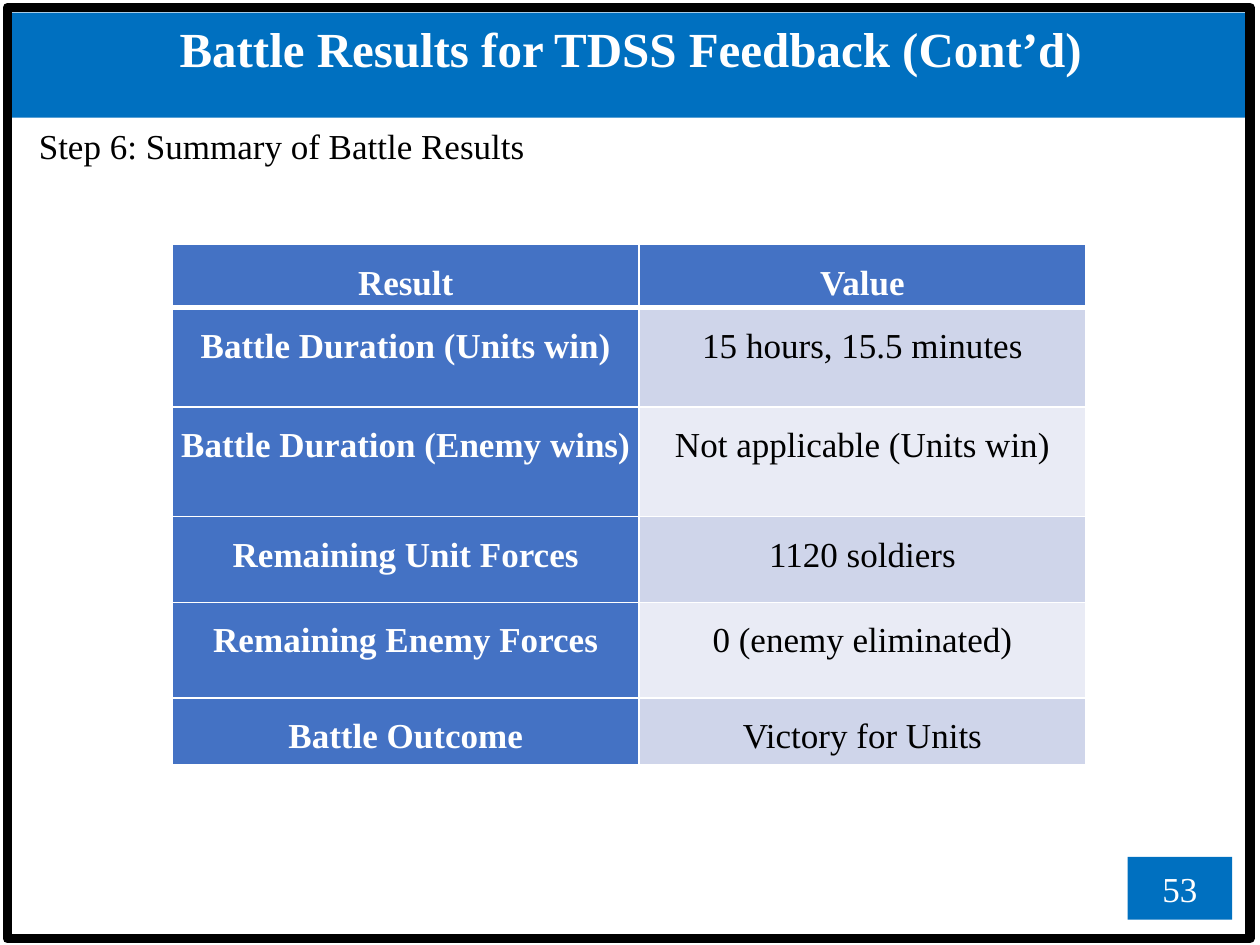
"""Build the battle results summary slide."""
import pptx
import pptx.dml.color
import pptx.enum.shapes
import pptx.enum.text
import pptx.oxml
import pptx.oxml.ns
import pptx.util
from pptx.util import Inches

COLORS = {
    "banner": "0070C0", "head": "4472C4", "band_dark": "CFD5EA",
    "band_light": "E9EBF5", "white": "FFFFFF", "black": "000000",
}
ROWS = [
    ("Result", "Value"),
    ("Battle Duration (Units win)", "15 hours, 15.5 minutes"),
    ("Battle Duration (Enemy wins)", "Not applicable (Units win)"),
    ("Remaining Unit Forces", "1120 soldiers"),
    ("Remaining Enemy Forces", "0 (enemy eliminated)"),
    ("Battle Outcome", "Victory for Units"),
]
ROW_HEIGHTS = [0.36, 0.79, 0.87, 0.68, 0.76, 0.53]
COL_WIDTHS = [3.7, 3.55]
ALIGN = pptx.enum.text.PP_ALIGN
ANCHOR = pptx.enum.text.MSO_ANCHOR


def rgb(name):
    return pptx.dml.color.RGBColor.from_string(COLORS[name])


def set_fill(fill, color):
    fill.solid()
    fill.fore_color.rgb = rgb(color)


def write(tf, text, size=20, color="white", bold=False, align=ALIGN.CENTER,
          spacing=1.0, before=0):
    p = tf.paragraphs[0]
    p.alignment = align
    p.line_spacing = spacing
    p.space_before = pptx.util.Pt(before)
    r = p.add_run()
    r.text = text
    r.font.name = "Times New Roman"
    r.font.size = pptx.util.Pt(size)
    r.font.bold = bold
    r.font.color.rgb = rgb(color)


def add_rect(s, left, top, width, height):
    sp = s.shapes.add_shape(
        pptx.enum.shapes.MSO_SHAPE.RECTANGLE,
        Inches(left), Inches(top), Inches(width), Inches(height))
    sp.shadow.inherit = False
    return sp


def add_title(s, text):
    sp = s.shapes.title
    sp.left, sp.top = Inches(0.09), Inches(0.1)
    sp.width, sp.height = Inches(9.83), Inches(0.57)
    set_fill(sp.fill, "banner")
    tf = sp.text_frame
    tf.word_wrap = True
    tf.auto_size = pptx.enum.text.MSO_AUTO_SIZE.SHAPE_TO_FIT_TEXT
    tf.vertical_anchor = ANCHOR.TOP
    write(tf, text, size=28, bold=True)


def add_frame(s):
    sp = add_rect(s, 0.06, 0.06, 9.86, 7.39)
    sp.fill.background()
    sp.line.color.rgb = rgb("black")
    sp.line.width = pptx.util.Pt(5.5)


def add_page_number(s, number):
    sp = add_rect(s, 8.95, 6.8, 0.83, 0.5)
    set_fill(sp.fill, "banner")
    sp.line.fill.background()
    sp.text_frame.vertical_anchor = ANCHOR.MIDDLE
    write(sp.text_frame, number)


def add_step(s, text):
    sp = s.shapes.add_textbox(Inches(0.21), Inches(0.77), Inches(9.57), Inches(1.08))
    sp.text_frame.word_wrap = True
    write(sp.text_frame, text, color="black", align=ALIGN.JUSTIFY,
          spacing=1.5, before=2)


def set_borders(cell, **widths):
    tcPr = cell._tc.get_or_add_tcPr()
    for side in "LRTB":
        width = pptx.util.Pt(widths.get(side, 1))
        tcPr.append(pptx.oxml.parse_xml(
            f'<a:ln{side} {pptx.oxml.ns.nsdecls("a")} w="{width}"><a:solidFill>'
            f'<a:srgbClr val="{COLORS["white"]}"/></a:solidFill></a:ln{side}>'))


def format_cell(cell, text, row, col):
    is_head = row == 0 or col == 0
    band = "band_dark" if row % 2 else "band_light"
    cell.margin_left = cell.margin_right = Inches(0.01)
    cell.margin_top = cell.margin_bottom = 0
    set_borders(cell, T=3 if row == 1 else 1, B=3 if row == 0 else 1)
    set_fill(cell.fill, "head" if is_head else band)
    write(cell.text_frame, text, color="white" if is_head else "black",
          bold=is_head, spacing=1.5)


def add_results(s):
    table = s.shapes.add_table(
        len(ROWS), len(COL_WIDTHS), Inches(1.37), Inches(1.94),
        Inches(sum(COL_WIDTHS)), Inches(sum(ROW_HEIGHTS))).table
    for column, width in zip(table.columns, COL_WIDTHS):
        column.width = Inches(width)
    for row, (texts, height) in enumerate(zip(ROWS, ROW_HEIGHTS)):
        table.rows[row].height = Inches(height)
        for col, text in enumerate(texts):
            format_cell(table.cell(row, col), text, row, col)


def main():
    prs = pptx.Presentation()
    prs.slide_width, prs.slide_height = Inches(10), Inches(7.5)
    s = prs.slides.add_slide(prs.slide_layouts[5])
    add_title(s, "Battle Results for TDSS Feedback (Cont’d)")
    add_frame(s)
    add_page_number(s, "53")
    add_step(s, "Step 6: Summary of Battle Results")
    add_results(s)
    prs.save("out.pptx")


if __name__ == "__main__":
    main()
